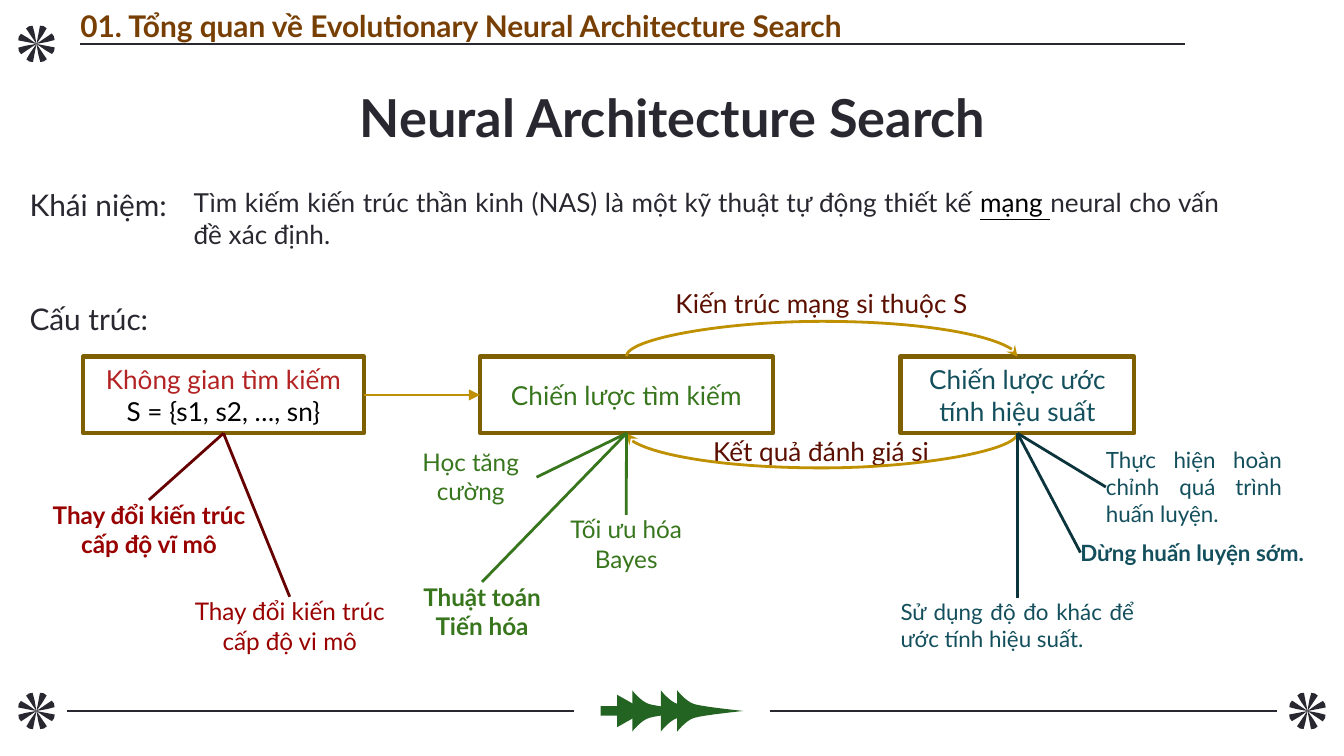
from math import cos, radians, sin

from pptx import Presentation
from pptx.dml.color import RGBColor
from pptx.enum.shapes import MSO_CONNECTOR as LINK, MSO_SHAPE as SHAPE
from pptx.enum.text import MSO_ANCHOR as ANCHOR, MSO_AUTO_SIZE as FIT, PP_ALIGN as ALIGN
from pptx.oxml.ns import qn
from pptx.oxml.xmlchemy import OxmlElement
from pptx.util import Cm, Pt

FONT = "Lato"
COLORS = {
    "ink": "292730", "black": "000000", "header": "783F04", "tree": "246422",
    "frame": "7F6000", "arrow": "BF9000", "flow": "5B0F00", "space": "B32323",
    "strategy": "38761D", "estimate": "134F5C", "estimate line": "0C343D",
    "change": "990000", "change line": "660000",
}


def rgb(name):
    return RGBColor.from_string(COLORS[name])


def style_runs(paragraph, size, color, bold=False):
    for run in paragraph.runs:
        run.font.name, run.font.size, run.font.bold = FONT, Pt(size), bold
        run.font.color.rgb = rgb(color)


def write(shape, text, size, color, bold=False, align=ALIGN.CENTER,
          anchor=ANCHOR.TOP, margins=(0, 0, 0, 0)):
    frame = shape.text_frame
    frame.word_wrap = True
    frame.vertical_anchor = anchor
    (frame.margin_left, frame.margin_top,
     frame.margin_right, frame.margin_bottom) = (Cm(m) for m in margins)
    frame.text = text
    for paragraph in frame.paragraphs:
        paragraph.alignment = align
        style_runs(paragraph, size, color, bold)


def add_text(slide, box, text, size, color, **options):
    label = slide.shapes.add_textbox(*(Cm(v) for v in box))
    write(label, text, size, color, **options)
    label.text_frame.auto_size = FIT.SHAPE_TO_FIT_TEXT
    return label


def paint(shape, color):
    shape.shadow.inherit = False
    shape.fill.solid()
    shape.fill.fore_color.rgb = rgb(color)
    shape.line.fill.background()


def add_outline(shapes, points, color):
    """Draw a closed, filled outline through points in centimetres."""
    start, *rest = [(Cm(x), Cm(y)) for x, y in points]
    builder = shapes.build_freeform(*start)
    builder.add_line_segments(rest)
    paint(builder.convert_to_shape(), color)


def style_line(connector, color, width, head=None):
    connector.line.color.rgb = rgb(color)
    connector.line.width = Pt(width)
    properties = connector._element.spPr
    if head:
        end = OxmlElement("a:tailEnd")
        end.set("type", head)
        properties.find(qn("a:ln")).append(end)
    properties.append(OxmlElement("a:effectLst"))


def add_rule(slide, left, right, y):
    rule = slide.shapes.add_connector(LINK.STRAIGHT, Cm(left), Cm(y), Cm(right), Cm(y))
    style_line(rule, "ink", 0.75)


def join(slide, start, start_site, end, end_site, color, head=None):
    connector = slide.shapes.add_connector(LINK.STRAIGHT, 0, 0, 0, 0)
    connector.begin_connect(start, start_site)
    connector.end_connect(end, end_site)
    style_line(connector, color, 1.5, head)


def add_arc(slide, start, end, site, bulge=0.66):
    """Curve from start to end, bowing upwards at site 0 and downwards at site 2."""
    up = site == 0
    arc = slide.shapes.add_connector(LINK.CURVE, 0, 0, 0, 0)
    arc.begin_connect(start, site)
    arc.end_connect(end, site)
    x1, x2 = (box.left + box.width // 2 for box in (start, end))
    y = start.top if up else start.top + start.height
    # The curve runs down a thin upright frame, which is then turned on its side.
    arc.width, arc.height = Cm(0.01), abs(x2 - x1)
    arc.left, arc.top = (x1 + x2 - arc.width) // 2, y - arc.height // 2
    frame = arc._element.spPr.find(qn("a:xfrm"))
    for flip in ("flipH", "flipV"):
        frame.attrib.pop(flip, None)
    frame.set("rot", str((270 if up else 90) * 60000))
    if up:
        frame.set("flipH", "1")
    geometry = arc._element.spPr.find(qn("a:prstGeom"))
    guides = geometry.find(qn("a:avLst"))
    if guides is None:
        guides = OxmlElement("a:avLst")
        geometry.append(guides)
    guide = OxmlElement("a:gd")
    guide.set("name", "adj1")
    guide.set("fmla", f"val {round((-1 if up else 1) * bulge / 0.01 * 100000)}")
    guides.append(guide)
    style_line(arc, "arrow", 1.5, "stealth")


def add_star(slide, x, y, mirror=1):
    star = slide.shapes.add_group_shape()
    petal = [(0, 0), (0.21, 11), (0.35, 11), (0.36, 22), (0.35, 33), (0.21, 35)]
    for turn in range(0, 360, 45):
        points = [(x + mirror * r * cos(radians(a + turn)), y + r * sin(radians(a + turn)))
                  for r, a in petal]
        add_outline(star.shapes, points, "ink")


def bezier(p0, p1, p2, p3, steps=8):
    for i in range(steps + 1):
        t = i / steps
        yield tuple((1 - t) ** 3 * a + 3 * t * (1 - t) ** 2 * b + 3 * t * t * (1 - t) * c
                    + t ** 3 * d for a, b, c, d in zip(p0, p1, p2, p3))


def add_tree(slide, y):
    """A fir lying on its side, its tip to the right."""
    tree = slide.shapes.add_group_shape().shapes
    half = [*bezier((1.25, 0), (1.25, 0), (0.48, 0.08), (0.32, 0.13)),
            *bezier((0.32, 0.13), (0.16, 0.18), (0, 0.39), (0, 0.39))]
    branch = half + [(x, -dy) for x, dy in reversed(half)]
    for left in (11.95, 12.49, 12.8):
        add_outline(tree, [(left + x, y + dy) for x, dy in branch], "tree")
    top = tree.add_shape(SHAPE.ISOSCELES_TRIANGLE, Cm(11.63), Cm(y - 0.27), Cm(0.61), Cm(0.54))
    top.rotation = 90
    paint(top, "tree")
    paint(tree.add_shape(SHAPE.RECTANGLE, Cm(11.35), Cm(y - 0.09), Cm(0.53), Cm(0.18)), "tree")


def add_stage(slide, left, width, text, color):
    stage = slide.shapes.add_shape(SHAPE.RECTANGLE, Cm(left), Cm(6.74), Cm(width), Cm(1.45))
    stage.shadow.inherit = False
    stage.fill.background()
    stage.line.color.rgb = rgb("frame")
    stage.line.width = Pt(2.25)
    write(stage, text, 14, color, anchor=ANCHOR.MIDDLE, margins=(0.25,) * 4)
    return stage


def add_branches(slide, stage, notes, size, color, line, align=ALIGN.CENTER):
    for box, text, bold, site in notes:
        note = add_text(slide, box, text, size, color, bold=bold, align=align)
        join(slide, stage, 2, note, site, line)


def add_definition(slide):
    label = add_text(slide, (3.66, 3.53, 19.38, 1.19),
                     "Tìm kiếm kiến trúc thần kinh (NAS) là một kỹ thuật tự động thiết kế ",
                     14, "ink", align=ALIGN.JUSTIFY)
    paragraph = label.text_frame.paragraphs[0]
    network, rest = paragraph.add_run(), paragraph.add_run()
    network.text, rest.text = "mạng ", "neural cho vấn đề xác định."
    style_runs(paragraph, 14, "ink")
    network.font.underline = True
    network.font.color.rgb = rgb("black")


def main():
    deck = Presentation()
    deck.slide_width, deck.slide_height = Cm(25.4), Cm(14.29)
    slide = deck.slides.add_slide(deck.slide_layouts[5])

    footer, header = 13.44, 0.83
    add_rule(slide, 14.55, 24.13, footer)
    add_tree(slide, footer)
    add_star(slide, 24.71, footer, mirror=-1)
    add_rule(slide, 1.27, 10.85, footer)
    add_star(slide, 0.69, footer)
    add_rule(slide, 1.52, 22.4, header)
    add_star(slide, 0.69, header)

    title = slide.shapes.title
    title.left, title.top, title.width, title.height = Cm(1.98), Cm(1.37), Cm(21.46), Cm(1.63)
    write(title, "Neural Architecture Search", 28, "ink", bold=True, margins=(0.25,) * 4)
    section = slide.shapes.add_textbox(Cm(1.52), Cm(0.13), Cm(20.88), Cm(0.69))
    write(section, "01. Tổng quan về Evolutionary Neural Architecture Search", 16, "header",
          bold=True, align=ALIGN.LEFT, anchor=ANCHOR.MIDDLE, margins=(0, 0.25, 0.25, 0.25))

    add_definition(slide)
    add_text(slide, (0.56, 3.53, 3.33, 0.69), "Khái niệm:", 16, "ink", align=ALIGN.LEFT)
    add_text(slide, (0.56, 5.69, 5.08, 0.69), "Cấu trúc:", 16, "ink", align=ALIGN.LEFT)

    space = add_stage(slide, 1.57, 5.31, "Không gian tìm kiếm\nS = {s1, s2, …, sn}", "space")
    style_runs(space.text_frame.paragraphs[1], 14, "black")
    strategy = add_stage(slide, 9.07, 5.54, "Chiến lược tìm kiếm", "strategy")
    estimate = add_stage(slide, 17.02, 4.42, "Chiến lược ước tính hiệu suất", "estimate")

    join(slide, space, 3, strategy, 1, "arrow", "triangle")
    add_arc(slide, strategy, estimate, 0)
    add_text(slide, (12.67, 5.44, 5.72, 0.61), "Kiến trúc mạng si thuộc S", 14, "flow")
    add_text(slide, (12.75, 8.23, 5.54, 0.61), "Kết quả đánh giá si", 14, "flow")
    add_arc(slide, estimate, strategy, 2)

    add_branches(slide, strategy, [
        ((7.65, 8.46, 2.49, 1.12), "Học tăng\ncường", False, 3),
        ((7.65, 11, 2.92, 1.12), "Thuật toán\nTiến hóa", True, 0),
        ((10.59, 9.73, 2.49, 1.12), "Tối ưu hóa\nBayes", False, 0),
    ], 13, "strategy", "strategy")
    add_branches(slide, estimate, [
        ((20.9, 8.43, 3.33, 1.55), "Thực hiện hoàn chỉnh quá trình huấn luyện.", False, 1),
        ((20.42, 10.19, 4.98, 0.51), "Dừng huấn luyện sớm.", True, 1),
        ((17.02, 11.3, 4.42, 1.02), "Sử dụng độ đo khác để ước tính hiệu suất.", False, 0),
    ], 12, "estimate", "estimate line", ALIGN.JUSTIFY)
    add_branches(slide, space, [
        ((0.91, 9.45, 3.81, 1.12), "Thay đổi kiến trúc cấp độ vĩ mô", True, 0),
        ((3.66, 11.28, 3.63, 1.12), "Thay đổi kiến trúc cấp độ vi mô", False, 0),
    ], 13, "change", "change line")

    deck.save("out.pptx")


if __name__ == "__main__":
    main()
